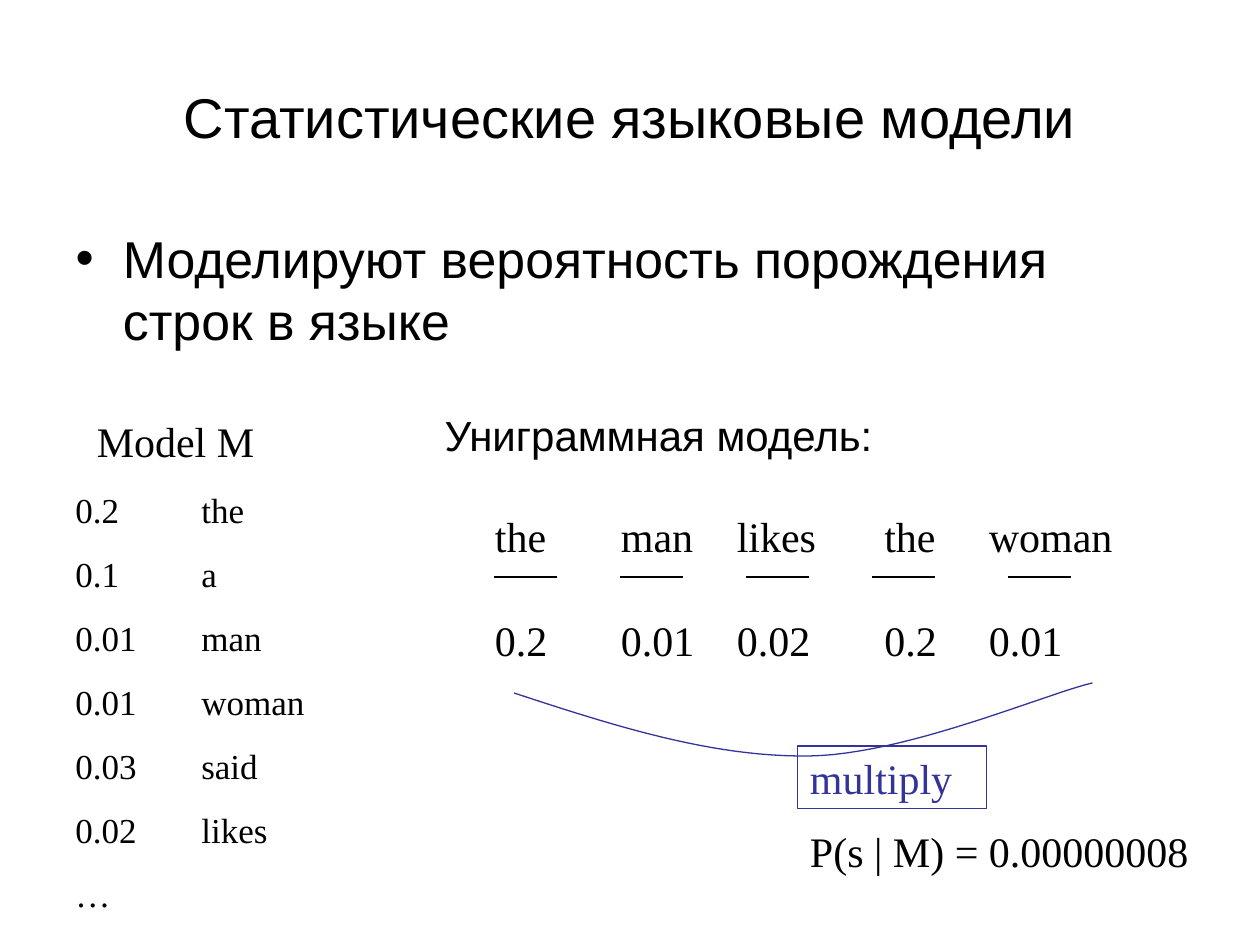
from pptx import Presentation
from pptx.dml.color import RGBColor
from pptx.enum.shapes import MSO_CONNECTOR, MSO_SHAPE
from pptx.enum.text import MSO_ANCHOR, PP_ALIGN
from pptx.oxml.ns import qn
from pptx.util import Inches, Pt
from lxml import etree

COLORS = {"text": "000000", "accent": "333399"}
SERIF, SANS = "Times New Roman", "Arial"
WORD_TAB = Inches(1)

prs = Presentation()
prs.slide_width, prs.slide_height = Inches(10), Inches(7.5)
slide = prs.slides.add_slide(prs.slide_layouts[1])
shapes = slide.shapes


def write(frame, lines, size, font=SERIF, color="text", gap=0):
    """Fill a text frame, one paragraph per line, with a gap between them."""
    for i, line in enumerate(lines):
        paragraph = frame.paragraphs[0] if i == 0 else frame.add_paragraph()
        paragraph.space_before = Pt(gap if i else 0)
        if "\t" in line:
            tabs = etree.SubElement(paragraph._p.get_or_add_pPr(), qn("a:tabLst"))
            etree.SubElement(tabs, qn("a:tab"), pos=str(WORD_TAB), algn="l")
        run = paragraph.add_run()
        run.text = line
        run.font.size, run.font.name = Pt(size), font
        run.font.color.rgb = RGBColor.from_string(COLORS[color])


def label(lines, left, top, width, height=0.5, size=24, font=SERIF, gap=0):
    box = shapes.add_textbox(Inches(left), Inches(top), Inches(width), Inches(height))
    box.text_frame.word_wrap = True
    write(box.text_frame, lines, size, font, gap=gap)


# Title and main statement
title = shapes.title
title.left, title.top, title.width, title.height = map(Inches, (0.5, 0.3, 9, 1.25))
write(title.text_frame, ["Статистические языковые модели"], 32, SANS)
title.text_frame.paragraphs[0].alignment = PP_ALIGN.CENTER

statement = slide.placeholders[1]
statement.left, statement.top, statement.width, statement.height = map(Inches, (0.5, 1.75, 9, 1.1))
write(statement.text_frame, ["Моделируют вероятность порождения строк в языке"], 29.6, SANS)

# Model M: word probabilities
label(["Model M"], 0.67, 3.25, 1.5)
vocabulary = [("0.2", "the"), ("0.1", "a"), ("0.01", "man"), ("0.01", "woman"),
              ("0.03", "said"), ("0.02", "likes")]
label(["\t".join(entry) for entry in vocabulary] + ["…"],
      0.5, 3.83, 2.67, 3.48, size=20, gap=12.5)

# Unigram model: each word, its underline and its probability
label(["Униграммная модель:"], 3.43, 3.2, 3.63, font=SANS)
sentence = [("the", "0.2", 3.83, 0.67, 3.92), ("man", "0.01", 4.83, 0.83, 4.92),
            ("likes", "0.02", 5.75, 0.83, 5.92), ("the", "0.2", 6.92, 0.83, 6.92),
            ("woman", "0.01", 7.75, 1.5, 8)]
for word, probability, left, width, line_left in sentence:
    label([word], left, 4, width)
    label([probability], left, 4.83, width)
    underline = shapes.add_connector(MSO_CONNECTOR.STRAIGHT, Inches(line_left), Inches(4.58),
                                     Inches(line_left + 0.5), Inches(4.58))
    underline.line.color.rgb = RGBColor.from_string(COLORS["text"])
    underline.line.width = Pt(0.75)
    etree.SubElement(underline._element.spPr, qn("a:effectLst"))

# Brace curve: two cubic Bezier arcs, sampled
arcs = [[(4.08, 5.5), (4.87, 5.76), (5.65, 6.01), (6.42, 6)],
        [(6.42, 6), (7.18, 5.99), (8.29, 5.51), (8.67, 5.42)]]
STEPS = 24
curve = []
for arc in arcs:
    for step in range(1, STEPS + 1):
        t = step / STEPS
        weights = ((1 - t) ** 3, 3 * t * (1 - t) ** 2, 3 * t ** 2 * (1 - t), t ** 3)
        curve.append(tuple(Inches(sum(w * point[axis] for w, point in zip(weights, arc)))
                           for axis in (0, 1)))
start_x, start_y = arcs[0][0]
builder = shapes.build_freeform(Inches(start_x), Inches(start_y))
builder.add_line_segments(curve, close=False)
brace = builder.convert_to_shape()

# Product of the probabilities
multiply = shapes.add_shape(MSO_SHAPE.RECTANGLE, Inches(6.33), Inches(5.92), Inches(1.5), Inches(0.5))
multiply.text_frame.word_wrap = True
multiply.text_frame.vertical_anchor = MSO_ANCHOR.TOP
write(multiply.text_frame, ["multiply"], 24, color="accent")
multiply.text_frame.paragraphs[0].alignment = PP_ALIGN.LEFT
for outline in (brace, multiply):
    outline.shadow.inherit = False
    outline.fill.background()
    outline.line.color.rgb = RGBColor.from_string(COLORS["accent"])
    outline.line.width = Pt(0.75)
label(["P(s | M) = 0.00000008"], 6.33, 6.5, 3.25)

prs.save("out.pptx")
